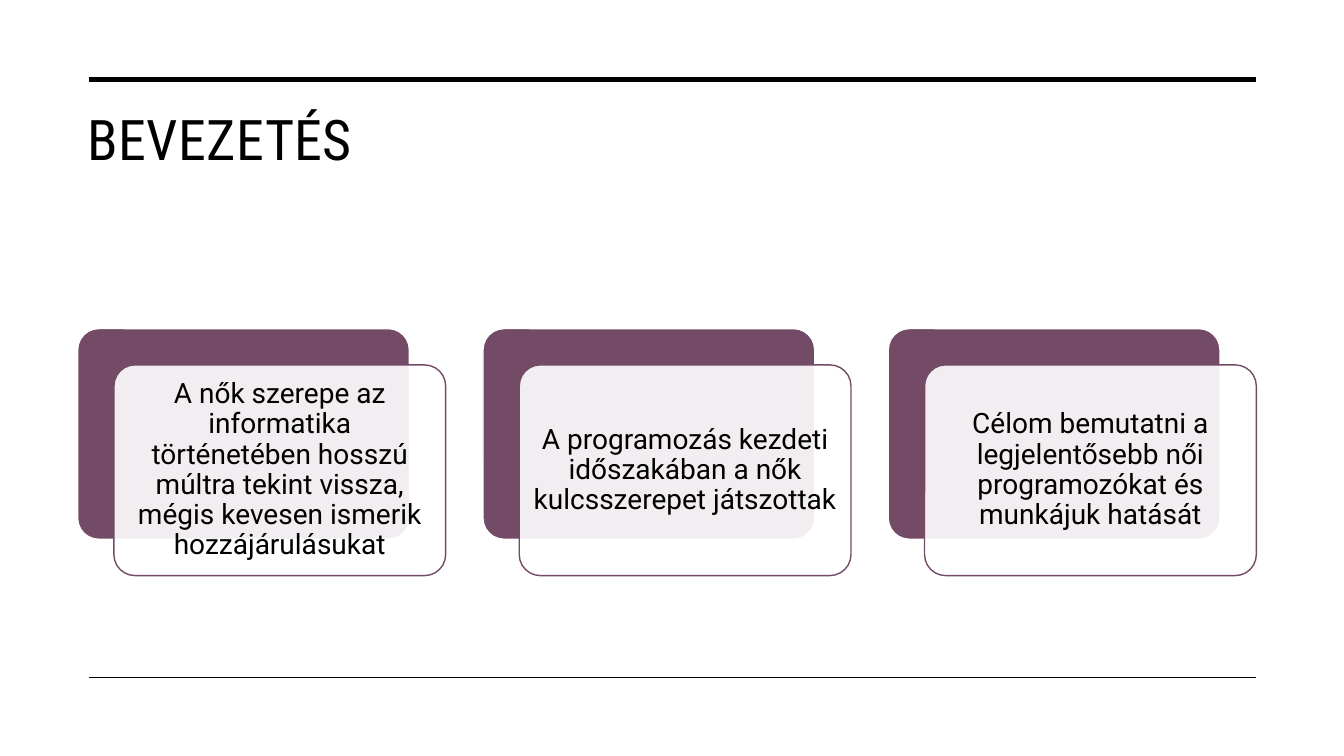
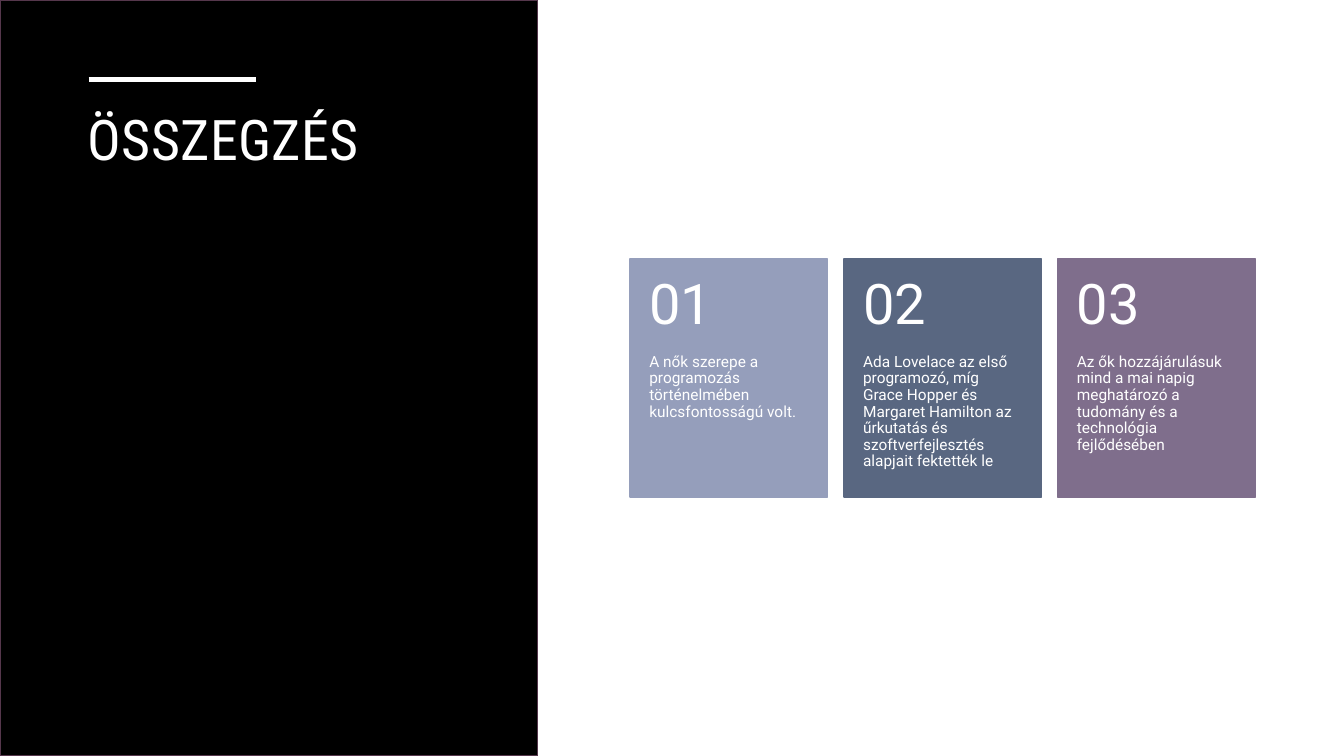
from lxml.etree import SubElement
from pptx import Presentation
from pptx.dml.color import RGBColor
from pptx.enum.shapes import MSO_CONNECTOR, MSO_SHAPE
from pptx.enum.text import MSO_ANCHOR, MSO_AUTO_SIZE, PP_ALIGN
from pptx.oxml.ns import qn
from pptx.util import Emu, Pt

PX = 9144
SLIDE_WIDTH, SLIDE_HEIGHT = 1333, 750
RULE_LEFT, RULE_RIGHT = 88, 1246
RULE_TOP, RULE_BOTTOM = 79, 672

BLACK = RGBColor(0x00, 0x00, 0x00)
WHITE = RGBColor(0xFF, 0xFF, 0xFF)
PLUM = RGBColor(0x73, 0x4B, 0x67)
DARK_PLUM = RGBColor(0x55, 0x37, 0x4C)
PERIWINKLE = RGBColor(0x95, 0x9E, 0xBB)
SLATE = RGBColor(0x59, 0x67, 0x81)
MAUVE = RGBColor(0x7F, 0x6E, 0x8C)

TITLE_FONT = "Roboto Condensed"
BODY_FONT = "Roboto"

INTRODUCTION = [
    "A nők szerepe az informatika történetében hosszú múltra tekint vissza, "
    "mégis kevesen ismerik hozzájárulásukat",
    "A programozás kezdeti időszakában a nők kulcsszerepet játszottak",
    "Célom bemutatni a legjelentősebb női programozókat és munkájuk hatását",
]
SUMMARY = [
    (PERIWINKLE, "A nők szerepe a programozás történelmében kulcsfontosságú volt."),
    (SLATE, "Ada Lovelace az első programozó, míg Grace Hopper és Margaret Hamilton "
            "az űrkutatás és szoftverfejlesztés alapjait fektették le"),
    (MAUVE, "Az ők hozzájárulásuk mind a mai napig meghatározó a tudomány és a "
            "technológia fejlődésében"),
]


def px(*lengths):
    return [Emu(length * PX) for length in lengths]


def write_text(shape, text, size, color, font_name=BODY_FONT, align=PP_ALIGN.LEFT,
               anchor=MSO_ANCHOR.TOP, insets=(10, 5, 10, 5), line_spacing=0.9, tracking=None):
    frame = shape.text_frame
    frame.word_wrap = True
    frame.auto_size = MSO_AUTO_SIZE.NONE
    frame.vertical_anchor = anchor
    (frame.margin_left, frame.margin_top,
     frame.margin_right, frame.margin_bottom) = px(*insets)
    paragraph = frame.paragraphs[0]
    paragraph.alignment = align
    paragraph.line_spacing = line_spacing
    run = paragraph.add_run()
    run.text = text
    run.font.name = font_name
    run.font.size = Pt(size)
    run.font.color.rgb = color
    if tracking is not None:
        run._r.get_or_add_rPr().set("spc", str(tracking))


def add_block(slide, kind, box, fill, line, opacity=None):
    shape = slide.shapes.add_shape(kind, *px(*box))
    shape.shadow.inherit = False
    shape.fill.solid()
    shape.fill.fore_color.rgb = fill
    shape.line.color.rgb = line
    shape.line.width = Pt(1)
    if kind == MSO_SHAPE.ROUNDED_RECTANGLE:
        shape.adjustments[0] = 0.1
    if opacity is not None:
        color = shape._element.spPr.find(qn("a:solidFill"))[0]
        SubElement(color, qn("a:alpha")).set("val", str(opacity * 1000))
    return shape


def add_rule(slide, top, right, color, width):
    rule = slide.shapes.add_connector(MSO_CONNECTOR.STRAIGHT, *px(RULE_LEFT, top, right, top))
    rule.line.color.rgb = color
    rule.line.width = Pt(width)
    SubElement(rule._element.spPr, qn("a:effectLst"))


def add_heading(slide, text, box, color, rule_right):
    add_rule(slide, RULE_TOP, rule_right, color, 3.5)
    title = slide.shapes.title
    title.left, title.top, title.width, title.height = px(*box)
    write_text(title, text, 40, color, font_name=TITLE_FONT, line_spacing=1.0, tracking=30)
    slide.shapes._spTree.append(title._element)


def add_layered_card(slide, left, top, text):
    width, height, offset = 329, 209, 36
    add_block(slide, MSO_SHAPE.ROUNDED_RECTANGLE, (left, top, width, height), PLUM, WHITE)
    front = add_block(slide, MSO_SHAPE.ROUNDED_RECTANGLE,
                      (left + offset, top + offset, width, height), WHITE, PLUM, opacity=90)
    write_text(front, text, 20, BLACK, align=PP_ALIGN.CENTER,
               anchor=MSO_ANCHOR.MIDDLE, insets=(8, 8, 8, 8))


def add_numbered_card(slide, left, top, number, text, color):
    width, height, number_height = 196, 236, 94
    card = add_block(slide, MSO_SHAPE.RECTANGLE, (left, top, width, height), color, color)
    write_text(card, text, 11, WHITE, insets=(19, number_height, 19, 0))
    number_box = slide.shapes.add_textbox(*px(left, top, width, number_height))
    write_text(number_box, f"{number:02}", 40, WHITE,
               anchor=MSO_ANCHOR.MIDDLE, insets=(19, 18, 19, 18))


def build_introduction(slide):
    add_heading(slide, "BEVEZETÉS", (77, 99, 1169, 126), BLACK, RULE_RIGHT)
    add_rule(slide, RULE_BOTTOM, RULE_RIGHT, BLACK, 1)
    for index, text in enumerate(INTRODUCTION):
        add_layered_card(slide, 77 + 402 * index, 326, text)


def build_summary(slide):
    add_block(slide, MSO_SHAPE.RECTANGLE, (0, 0, 533, SLIDE_HEIGHT), BLACK, DARK_PLUM)
    add_heading(slide, "ÖSSZEGZÉS", (77, 99, 407, 401), WHITE, 254)
    for index, (color, text) in enumerate(SUMMARY):
        add_numbered_card(slide, 625 + 212 * index, 257, index + 1, text, color)


def main():
    presentation = Presentation()
    presentation.slide_width, presentation.slide_height = px(SLIDE_WIDTH, SLIDE_HEIGHT)
    title_only = presentation.slide_layouts[5]
    for build in (build_introduction, build_summary):
        build(presentation.slides.add_slide(title_only))
    presentation.save("out.pptx")


if __name__ == "__main__":
    main()
